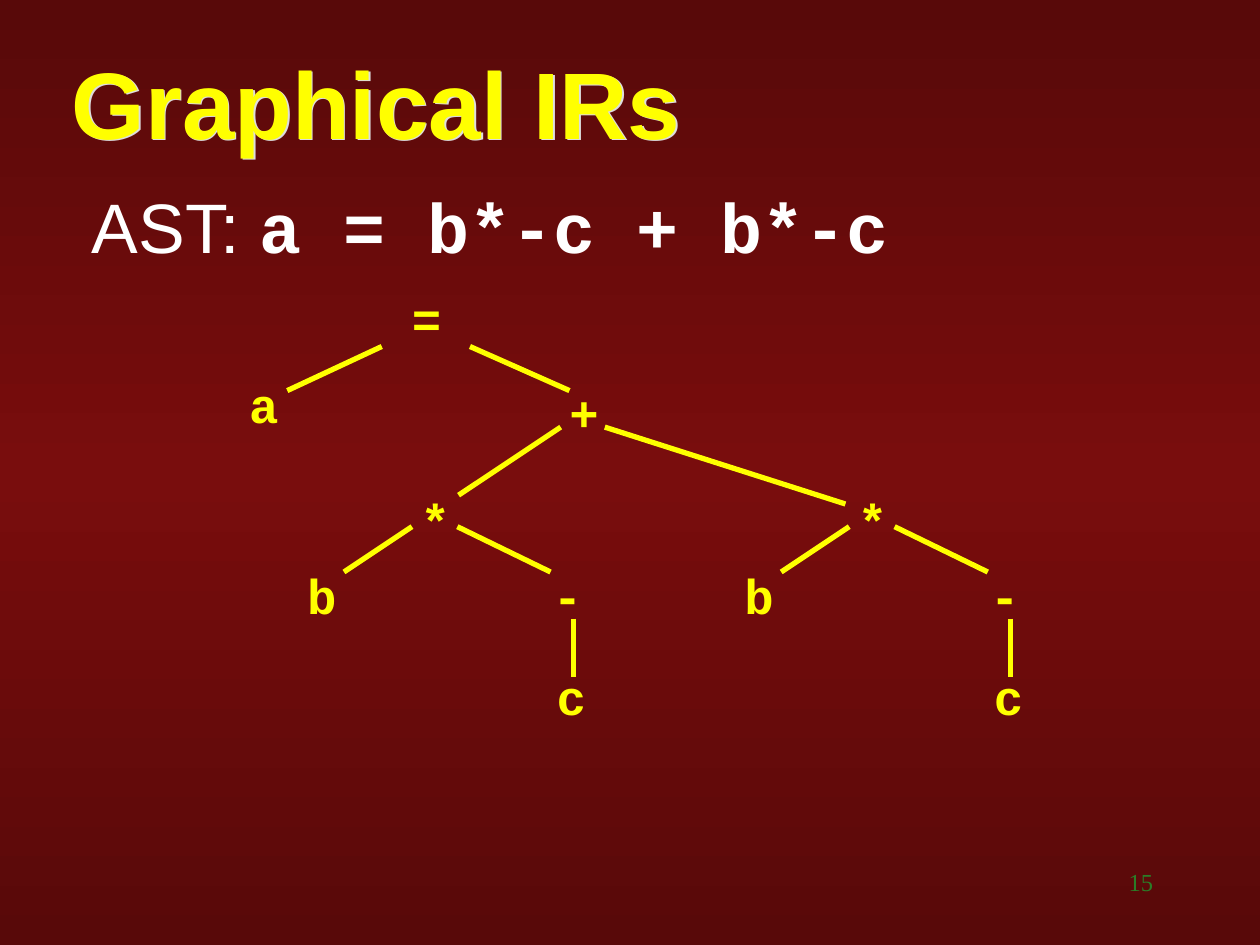
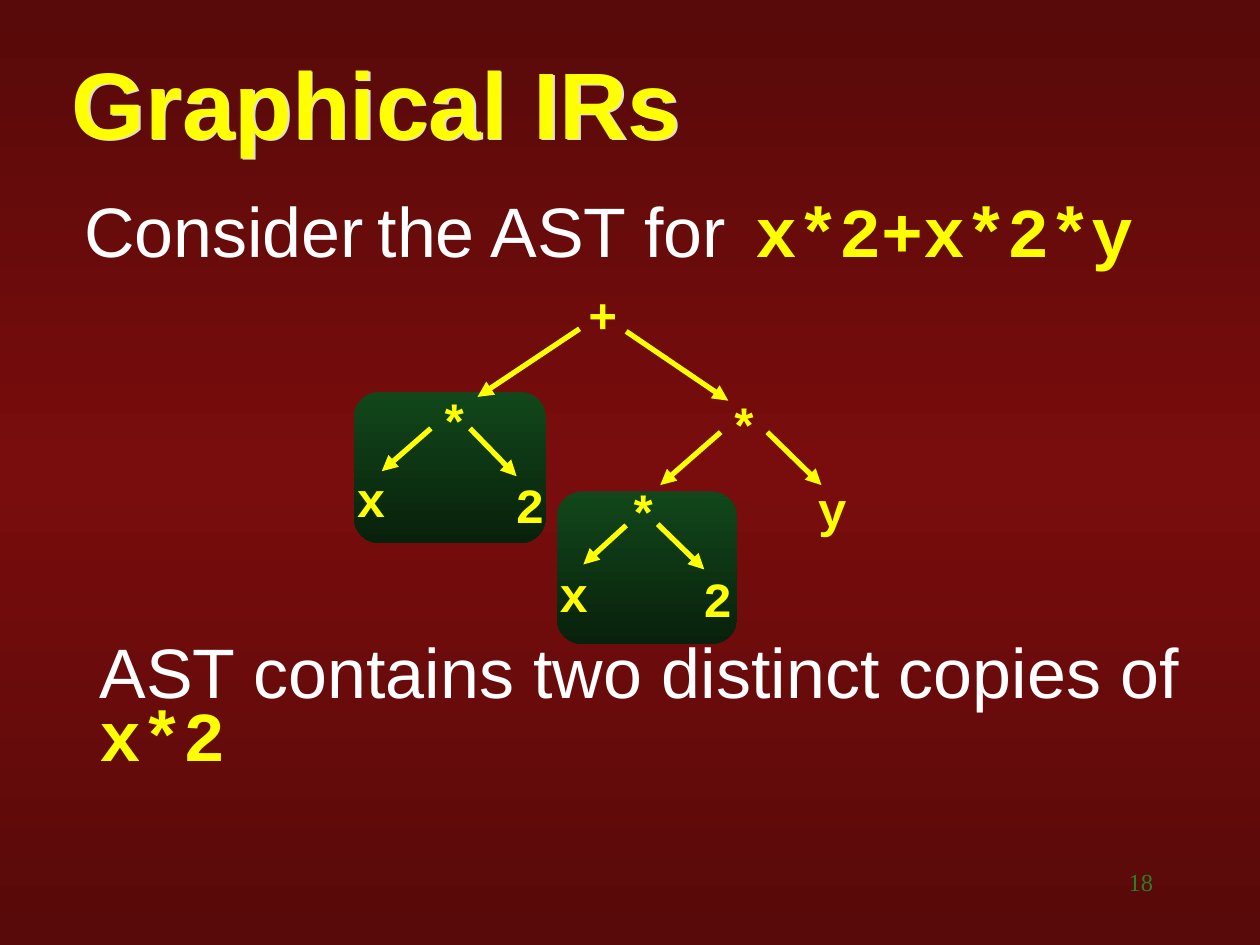
from dataclasses import dataclass

from lxml import etree
from pptx import Presentation
from pptx.dml.color import RGBColor
from pptx.enum.shapes import MSO_CONNECTOR, MSO_SHAPE
from pptx.enum.text import MSO_ANCHOR, MSO_AUTO_SIZE, PP_ALIGN
from pptx.oxml.ns import qn
from pptx.util import Inches, Pt

STRAIGHT = MSO_CONNECTOR.STRAIGHT
ROUNDED = MSO_SHAPE.ROUNDED_RECTANGLE
MIDDLE, TOP = MSO_ANCHOR.MIDDLE, MSO_ANCHOR.TOP
LEFT, RIGHT = PP_ALIGN.LEFT, PP_ALIGN.RIGHT
FIXED = MSO_AUTO_SIZE.NONE

SLIDE_W, SLIDE_H = Inches(10), Inches(7.5)
COLUMNS, ROWS = 100, 75
NODE_SIZE = (4.3, 5.7)


@dataclass(frozen=True)
class Theme:
    background: tuple = ("580909", "790D0D", "580909")
    panel: tuple = ("11471A", "08210C")
    accent: str = "FFFF00"
    body: str = "FFFFFF"
    number: str = "2B7D27"
    title_shadow: str = "DDDDDD"
    sans: str = "Arial"
    code: str = "Courier New"
    serif: str = "Times New Roman"
    title_size: int = 54
    body_size: int = 40
    node_size: int = 28
    number_size: int = 14
    edge_width: int = 3


THEME = Theme()


@dataclass(frozen=True)
class Style:
    font: str
    size: int
    color: str
    bold: bool = False


TITLE = Style(THEME.sans, THEME.title_size, THEME.accent, True)
PROSE = Style(THEME.sans, THEME.body_size, THEME.body)
CODE = Style(THEME.code, THEME.body_size, THEME.body, True)
CODE_ACCENT = Style(THEME.code, THEME.body_size, THEME.accent, True)
NODE = Style(THEME.code, THEME.node_size, THEME.accent, True)
NARROW_GAP = Style(THEME.sans, THEME.node_size, THEME.body)
NUMBER = Style(THEME.serif, THEME.number_size, THEME.number)


def at(column, row):
    """Turn a grid position or extent into slide lengths."""
    return round(SLIDE_W * column / COLUMNS), round(SLIDE_H * row / ROWS)


def set_gradient(fill, element, colors):
    """Fill from top to bottom with evenly spaced colours."""
    fill.gradient()
    fill.gradient_angle = 270
    stops = element.find(".//" + qn("a:gsLst"))
    for stop in list(stops):
        stops.remove(stop)
    for index, color in enumerate(colors):
        position = 100000 * index // (len(colors) - 1)
        stop = etree.SubElement(stops, qn("a:gs"), pos=str(position))
        etree.SubElement(stop, qn("a:srgbClr"), val=color)


def write(shape, *parts, align=LEFT, spacing=1.0):
    """Fill one paragraph with (text, style) parts."""
    paragraph = shape.text_frame.paragraphs[0]
    paragraph.alignment = align
    paragraph.line_spacing = spacing
    paragraph.space_before = Pt(0)
    for text, style in parts:
        run = paragraph.add_run()
        run.text = text
        run.font.name = style.font
        run.font.size = Pt(style.size)
        run.font.bold = style.bold
        run.font.color.rgb = RGBColor.from_string(style.color)


def move(placeholder, position, size, anchor):
    placeholder.left, placeholder.top = at(*position)
    placeholder.width, placeholder.height = at(*size)
    placeholder.text_frame.auto_size = FIXED
    placeholder.text_frame.vertical_anchor = anchor


def add_text(slide, position, size, *parts, wrap=True, **layout):
    box = slide.shapes.add_textbox(*at(*position), *at(*size))
    box.text_frame.word_wrap = wrap
    write(box, *parts, **layout)


def add_title_shadow(title):
    effects = etree.SubElement(title.element.spPr, qn("a:effectLst"))
    shadow = etree.SubElement(effects, qn("a:outerShdw"), dist="18000", dir="2700000")
    etree.SubElement(shadow, qn("a:srgbClr"), val=THEME.title_shadow)


def add_slide(prs, title, number):
    slide = prs.slides.add_slide(prs.slide_layouts[1])
    heading = slide.shapes.title
    move(heading, (4.7, 3.9), (92, 8.3), MIDDLE)
    write(heading, (title, TITLE))
    add_title_shadow(heading)
    add_text(slide, (71.7, 68.3), (20.8, 5), (str(number), NUMBER), align=RIGHT)
    return slide


def add_body(slide, position, size, *parts, spacing):
    body = slide.placeholders[1]
    move(body, position, size, TOP)
    write(body, *parts, spacing=spacing)
    properties = body.text_frame.paragraphs[0]._p.get_or_add_pPr()
    properties.set("marL", "0")
    properties.set("indent", "0")
    no_bullet = etree.Element(qn("a:buNone"))
    properties.append(no_bullet)


def add_panel(slide, position, size):
    """Highlight a repeated subtree."""
    panel = slide.shapes.add_shape(ROUNDED, *at(*position), *at(*size))
    panel.shadow.inherit = False
    panel.line.fill.background()
    set_gradient(panel.fill, panel.element, THEME.panel)


def add_edge(slide, start, end, arrow):
    edge = slide.shapes.add_connector(STRAIGHT, *at(*start), *at(*end))
    edge.line.color.rgb = RGBColor.from_string(THEME.accent)
    edge.line.width = Pt(THEME.edge_width)
    if arrow:
        etree.SubElement(edge.line._get_or_add_ln(), qn("a:tailEnd"), type="triangle")
    etree.SubElement(edge.element.spPr, qn("a:effectLst"))


def add_tree(slide, nodes, edges, shift=0, arrows=False):
    """Draw (label, column, row) nodes and (column, row, column, row) edges."""
    for label, column, row in nodes:
        add_text(slide, (column + shift, row), NODE_SIZE, (label, NODE), wrap=False)
    for x1, y1, x2, y2 in edges:
        add_edge(slide, (x1 + shift, y1), (x2 + shift, y2), arrows)


def add_assignment_slide(prs):
    slide = add_slide(prs, "Graphical IRs", 15)
    add_body(slide, (6.3, 15.1), (89.4, 8.7),
             ("AST: ", PROSE), ("a = b*-c + b*-c", CODE), spacing=0.85)
    add_tree(
        slide,
        nodes=[("=", 31.7, 22.4), ("a", 18.8, 29.2), ("+", 44.2, 29.9)],
        edges=[(30.3, 27.5, 22.8, 31), (37.3, 27.5, 45.2, 31),
               (44.5, 33.9, 36.4, 39.3), (48, 33.9, 67.1, 40)])
    for shift in (0, 34.7):
        add_tree(
            slide,
            nodes=[("*", 32.4, 38.4), ("b", 23.4, 44.4),
                   ("-", 42.9, 44.4), ("c", 43.2, 52.4)],
            edges=[(32.7, 41.8, 27.3, 45.4), (36.3, 41.8, 43.7, 45.4),
                   (45.5, 49.1, 45.5, 53.7)],
            shift=shift)


def add_duplicates_slide(prs):
    slide = add_slide(prs, "Graphical IRs", 18)
    add_panel(slide, (28.1, 31.1), (15.2, 12))
    add_panel(slide, (44.2, 39), (14.3, 12.1))
    add_text(slide, (5.7, 15.4), (94.3, 16.8),
             ("Consider", PROSE), (" ", NARROW_GAP), ("the AST for", PROSE),
             (" ", NODE), ("x*2+x*2*y", CODE_ACCENT), spacing=0.85)
    add_body(slide, (6.9, 50.9), (89.4, 11.7),
             ("AST contains two distinct copies of ", PROSE), ("x*2", CODE_ACCENT),
             spacing=0.75)
    add_tree(
        slide,
        nodes=[("+", 45.7, 22.1), ("*", 56.9, 30.9), ("y", 63.9, 37.5),
               ("*", 33.9, 30.6), ("x", 27.3, 36.7), ("2", 39.9, 37.2),
               ("*", 48.9, 37.8), ("x", 43.4, 44.2), ("2", 54.8, 44.6)],
        edges=[(46, 26.1, 37.9, 31.5), (49.7, 26.3, 57.8, 31.8),
               (57.2, 34.3, 52.4, 38.5), (60.9, 34.3, 65.2, 38.5),
               (34.2, 34, 30.3, 37.4), (37.3, 34, 41, 37.8),
               (49.7, 41.7, 46.3, 44.8), (52.2, 41.6, 55.9, 45.2)],
        arrows=True)


def main():
    prs = Presentation()
    prs.slide_width, prs.slide_height = SLIDE_W, SLIDE_H
    master = prs.slide_master
    set_gradient(master.background.fill, master.element, THEME.background)
    add_assignment_slide(prs)
    add_duplicates_slide(prs)
    prs.save("out.pptx")


if __name__ == "__main__":
    main()
